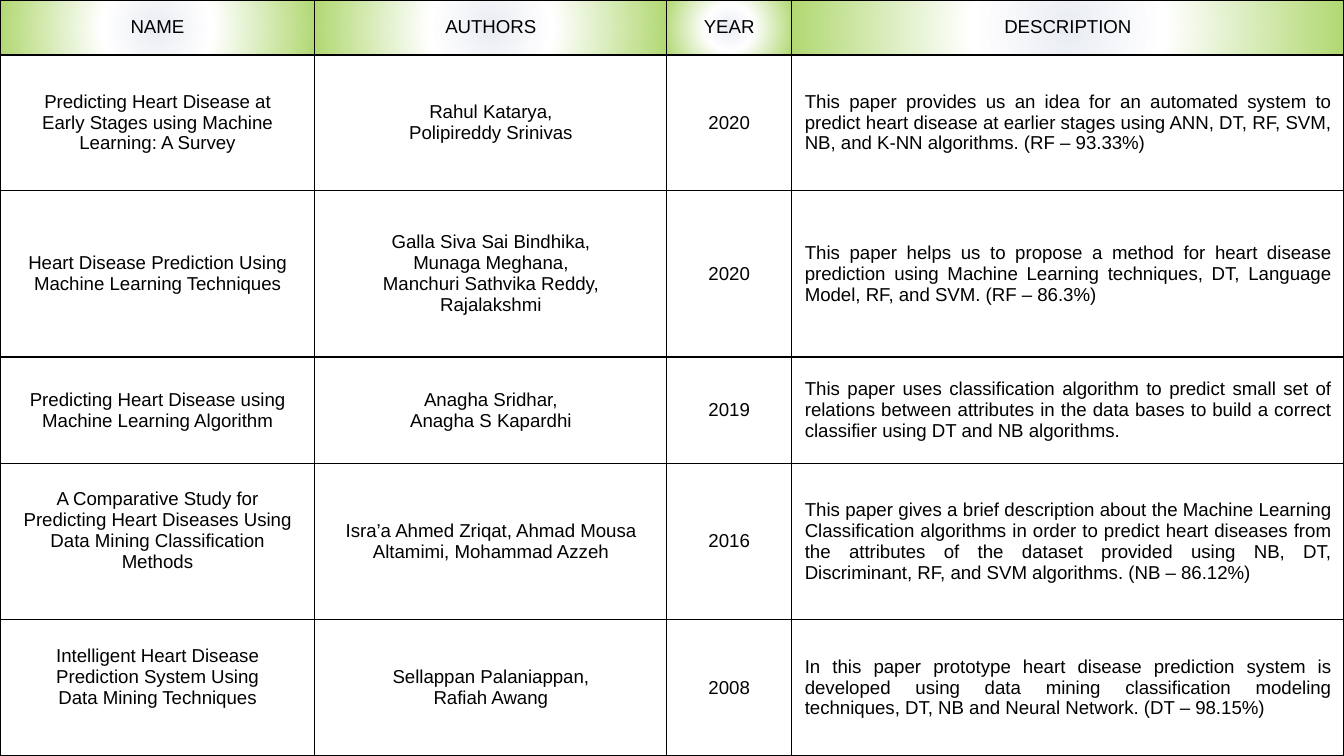
from lxml.etree import SubElement
from pptx import Presentation
from pptx.dml.color import RGBColor
from pptx.enum.text import MSO_ANCHOR as Anchor, PP_ALIGN as Align
from pptx.oxml.ns import qn
from pptx.util import Cm, Pt

BLACK = RGBColor(0x00, 0x00, 0x00)
WHITE = RGBColor(0xFF, 0xFF, 0xFF)
BACKGROUND = RGBColor(0xD8, 0xD8, 0xD8)
PALE_BLUE = RGBColor(0xE9, 0xED, 0xF3)
GREEN = RGBColor(0xB1, 0xD8, 0x72)
HEADER_STOPS = ((0, PALE_BLUE), (35, WHITE), (100, GREEN))

COLUMN_WIDTHS = (5.95, 6.65, 2.36, 10.44)
ROW_HEIGHTS = (1.04, 2.56, 3.15, 2.01, 2.95, 2.58)
RAISED_NAME_ROWS = (4, 5)

HEADERS = ("NAME", "AUTHORS", "YEAR", "DESCRIPTION")
PAPERS = (
    (("Predicting Heart Disease at\nEarly Stages using Machine Learning: A Survey",),
     ("Rahul Katarya,", "Polipireddy Srinivas"),
     ("2020",),
     ("This paper provides us an idea for an automated system to predict heart "
      "disease at earlier stages using ANN, DT, RF, SVM, NB, and K-NN algorithms. "
      "(RF – 93.33%)",)),
    (("Heart Disease Prediction Using Machine Learning Techniques",),
     ("Galla Siva Sai Bindhika,", "Munaga Meghana,",
      "Manchuri Sathvika Reddy,", "Rajalakshmi"),
     ("2020",),
     ("This paper helps us to propose a method for heart disease prediction using "
      "Machine Learning techniques, DT, Language Model, RF, and SVM. (RF – 86.3%)",)),
    (("Predicting Heart Disease using Machine Learning Algorithm",),
     ("Anagha Sridhar,", "Anagha S Kapardhi"),
     ("2019",),
     ("This paper uses classification algorithm to predict small set of relations "
      "between attributes in the data bases to build a correct classifier using DT "
      "and NB algorithms.",)),
    (("A Comparative Study for Predicting Heart Diseases Using Data Mining "
      "Classification Methods",),
     ("Isra’a Ahmed Zriqat, Ahmad Mousa Altamimi, Mohammad Azzeh",),
     ("2016",),
     ("This paper gives a brief description about the Machine Learning "
      "Classification algorithms in order to predict heart diseases from the "
      "attributes of the dataset provided using NB, DT, Discriminant, RF, and SVM "
      "algorithms. (NB – 86.12%)",)),
    (("Intelligent Heart Disease Prediction System Using", "Data Mining Techniques"),
     ("Sellappan Palaniappan,", "Rafiah Awang"),
     ("2008",),
     ("In this paper prototype heart disease prediction system is developed using "
      "data mining classification modeling techniques, DT, NB and Neural Network. "
      "(DT – 98.15%)",)),
)


def add_color(parent, color):
    SubElement(parent, qn("a:srgbClr"), val=str(color))


def set_borders(cell, color=BLACK, width=Pt(0.75)):
    properties = cell._tc.get_or_add_tcPr()
    for side in ("a:lnL", "a:lnR", "a:lnT", "a:lnB"):
        line = SubElement(properties, qn(side), w=str(int(width)))
        add_color(SubElement(line, qn("a:solidFill")), color)


def set_radial_fill(cell, stops):
    gradient = SubElement(cell._tc.get_or_add_tcPr(), qn("a:gradFill"))
    stop_list = SubElement(gradient, qn("a:gsLst"))
    for position, color in stops:
        add_color(SubElement(stop_list, qn("a:gs"), pos=str(position * 1000)), color)
    circle = SubElement(gradient, qn("a:path"), path="circle")
    SubElement(circle, qn("a:fillToRect"), l="50000", t="50000", r="50000", b="50000")


def write_cell(cell, paragraphs, align=Align.CENTER, bottom=Cm(0.13)):
    cell.vertical_anchor = Anchor.MIDDLE
    cell.margin_left = cell.margin_right = Cm(0.25)
    cell.margin_top, cell.margin_bottom = Cm(0.13), bottom
    frame = cell.text_frame
    for index, text in enumerate(paragraphs):
        paragraph = frame.add_paragraph() if index else frame.paragraphs[0]
        paragraph.text = text
        paragraph.alignment = align
        for run in paragraph.runs:
            run.font.name = "Arial"
            run.font.size = Pt(10)
            run.font.color.rgb = BLACK


def add_paper_table(slide):
    table = slide.shapes.add_table(
        len(ROW_HEIGHTS), len(COLUMN_WIDTHS), Cm(0), Cm(0),
        Cm(sum(COLUMN_WIDTHS)), Cm(sum(ROW_HEIGHTS))).table
    table.first_row = table.horz_banding = False
    for column, width in zip(table.columns, COLUMN_WIDTHS):
        column.width = Cm(width)
    for row, height in zip(table.rows, ROW_HEIGHTS):
        row.height = Cm(height)
    return table


def fill_header(table):
    for column, title in enumerate(HEADERS):
        cell = table.cell(0, column)
        write_cell(cell, (title,))
        set_borders(cell)
        set_radial_fill(cell, HEADER_STOPS)


def fill_papers(table):
    for row, paper in enumerate(PAPERS, start=1):
        for column, paragraphs in enumerate(paper):
            cell = table.cell(row, column)
            is_description = HEADERS[column] == "DESCRIPTION"
            is_raised = HEADERS[column] == "NAME" and row in RAISED_NAME_ROWS
            write_cell(cell, paragraphs,
                       align=Align.JUSTIFY if is_description else Align.CENTER,
                       bottom=Cm(0.53) if is_raised else Cm(0.13))
            set_borders(cell)
            cell.fill.solid()
            cell.fill.fore_color.rgb = WHITE


def main():
    presentation = Presentation()
    presentation.slide_width, presentation.slide_height = Cm(25.4), Cm(14.29)
    slide = presentation.slides.add_slide(presentation.slide_layouts[6])
    slide.background.fill.solid()
    slide.background.fill.fore_color.rgb = BACKGROUND
    table = add_paper_table(slide)
    fill_header(table)
    fill_papers(table)
    presentation.save("out.pptx")


if __name__ == "__main__":
    main()
